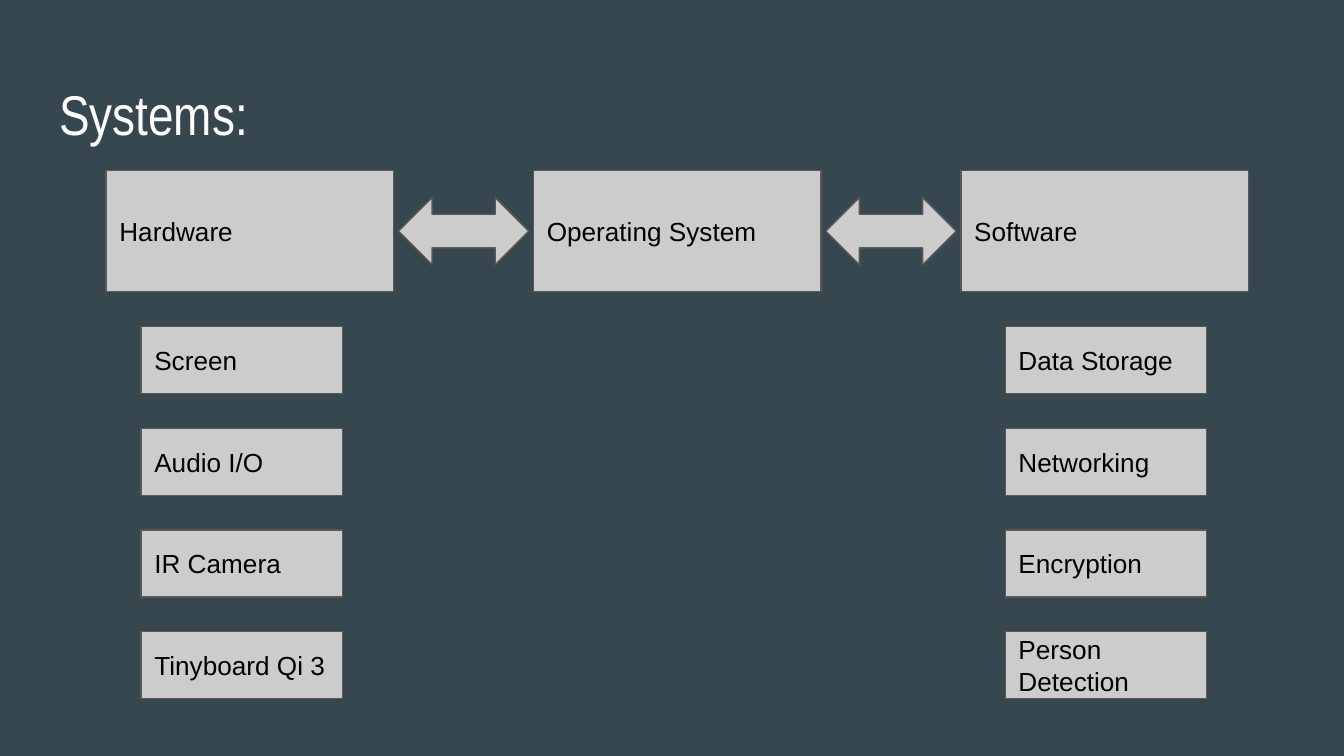
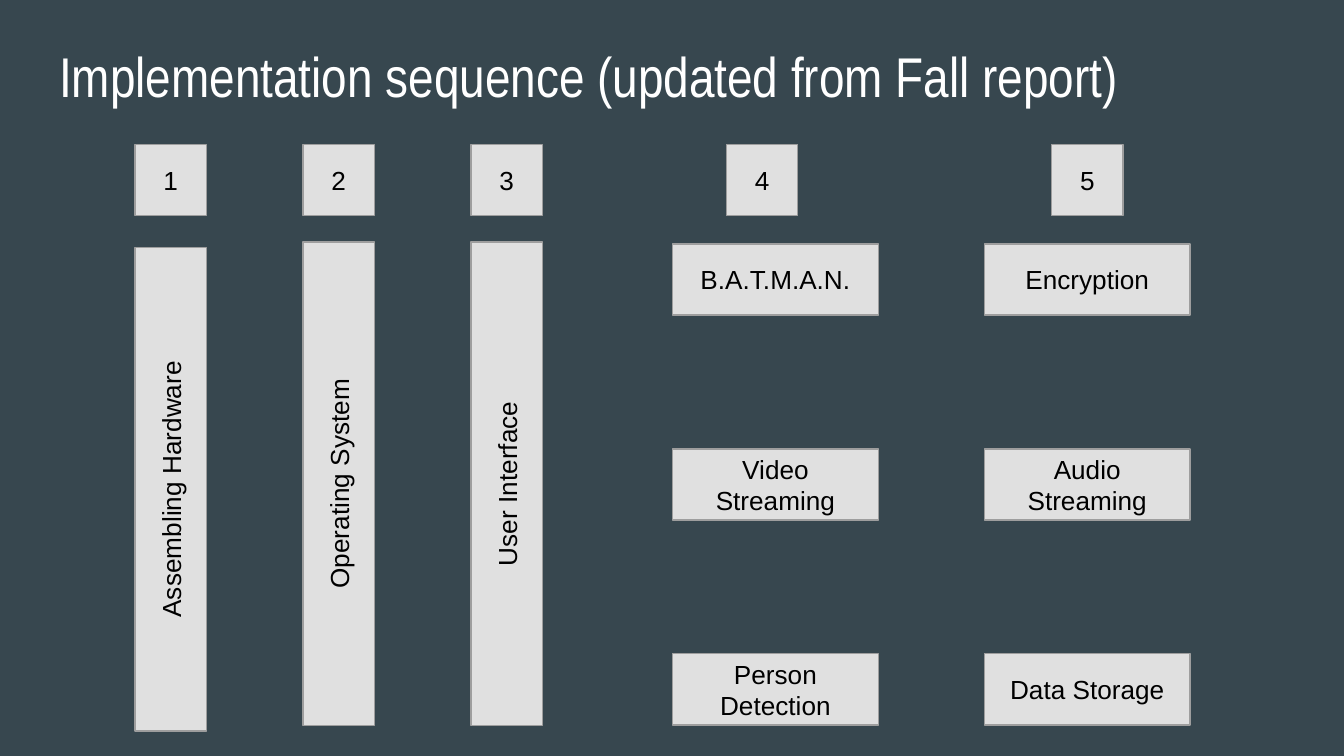
from dataclasses import dataclass

from pptx import Presentation
from pptx.dml.color import RGBColor as RGB
from pptx.enum.shapes import MSO_SHAPE as Kind
from pptx.enum.text import MSO_ANCHOR as Anchor, MSO_AUTO_SIZE as Fit, PP_ALIGN as Align
from pptx.util import Inches, Pt


@dataclass(frozen=True)
class Theme:
    back: RGB = RGB.from_string("37474F")
    head: RGB = RGB.from_string("FFFFFF")
    ink: RGB = RGB.from_string("000000")
    gray: tuple = (RGB.from_string("CCCCCC"), RGB.from_string("595959"))
    pale: tuple = (RGB.from_string("E0E0E0"), RGB.from_string("9E9E9E"))
    head_font: str = "Arial Narrow"
    font: str = "Arial"
    head_size: int = 30
    size: int = 14
    line: float = 0.75
    pad: float = 0.1


theme = Theme()
wide = 10
high = wide * 9 / 16

deck = Presentation()
deck.slide_width, deck.slide_height = Inches(wide), Inches(high)
fill = deck.slide_master.background.fill
fill.solid()
fill.fore_color.rgb = theme.back


def write(shape, text, font, size, color, align, anchor):
    """Put one styled run into the shape, with the shared insets."""
    frame = shape.text_frame
    frame.word_wrap = True
    frame.auto_size = Fit.NONE
    frame.vertical_anchor = anchor
    frame.margin_left = frame.margin_right = Inches(theme.pad)
    frame.margin_top = frame.margin_bottom = Inches(theme.pad)
    para = frame.paragraphs[0]
    para.alignment = align
    run = para.add_run()
    run.text = text
    run.font.name, run.font.size = font, Pt(size)
    run.font.color.rgb = color


def block(slide, mid, size, look, text="", align=Align.CENTER, kind=Kind.RECTANGLE, turn=0):
    """Add a filled shape centred on mid."""
    (x, y), (w, h) = mid, size
    shape = slide.shapes.add_shape(
        kind, Inches(x - w / 2), Inches(y - h / 2), Inches(w), Inches(h))
    shape.shadow.inherit = False
    shape.rotation = turn
    shape.fill.solid()
    shape.fill.fore_color.rgb, shape.line.color.rgb = look
    shape.line.width = Pt(theme.line)
    if text:
        write(shape, text, theme.font, theme.size, theme.ink, align, Anchor.MIDDLE)


# Both slides with their titles
slides = []
for text, top in (("Systems:", 0.49),
                  ("Implementation sequence (updated from Fall report)", 0.21)):
    slide = deck.slides.add_slide(deck.slide_layouts[5])
    title = slide.shapes.title
    title.left, title.top = Inches(0.34), Inches(top)
    title.width, title.height = Inches(wide - 2 * 0.34), Inches(0.63)
    write(title, text, theme.head_font, theme.head_size, theme.head, Align.LEFT, Anchor.TOP)
    slides.append(slide)
systems, steps = slides

# Systems: three main parts, with arrows in the gaps
first, pitch, main_y = 1.86, 3.18, 1.72
for col, name in enumerate(("Hardware", "Operating System", "Software")):
    x = first + col * pitch
    block(systems, (x, main_y), (2.14, 0.9), theme.gray, name, Align.LEFT)
    if col:
        block(systems, (x - pitch / 2, main_y), (0.97, 0.5), theme.gray,
              kind=Kind.LEFT_RIGHT_ARROW)

# Systems: pieces of the hardware and the software
pieces = {
    1.8: ("Screen", "Audio I/O", "IR Camera", "Tinyboard Qi 3"),
    8.23: ("Data Storage", "Networking", "Encryption", "Person Detection"),
}
for x, names in pieces.items():
    for row, name in enumerate(names):
        block(systems, (x, 2.68 + row * 2.27 / 3), (1.5, 0.5), theme.gray, name, Align.LEFT)

# Sequence: numbers on top, then upright bars
side, num_y = 0.53, 1.34
bars = (("Assembling Hardware", 3.64), ("Operating System", 3.6), ("User Interface", 3.6))
for col, (name, y) in enumerate(bars):
    x = 1.27 + col * 1.25
    block(steps, (x, num_y), (side, side), theme.pale, str(col + 1))
    block(steps, (x, y), (3.6, side), theme.pale, name, turn=270)

# Sequence: the last two steps, each with three tasks
tasks = (
    (5.67, 5.77, ("B.A.T.M.A.N.", "Video Streaming", "Person Detection")),
    (8.09, 8.09, ("Encryption", "Audio Streaming", "Data Storage")),
)
for num, (num_x, x, names) in enumerate(tasks, len(bars) + 1):
    block(steps, (num_x, num_y), (side, side), theme.pale, str(num))
    for row, name in enumerate(names):
        block(steps, (x, 2.08 + row * 3.05 / 2), (1.53, side), theme.pale, name)

deck.save("out.pptx")
